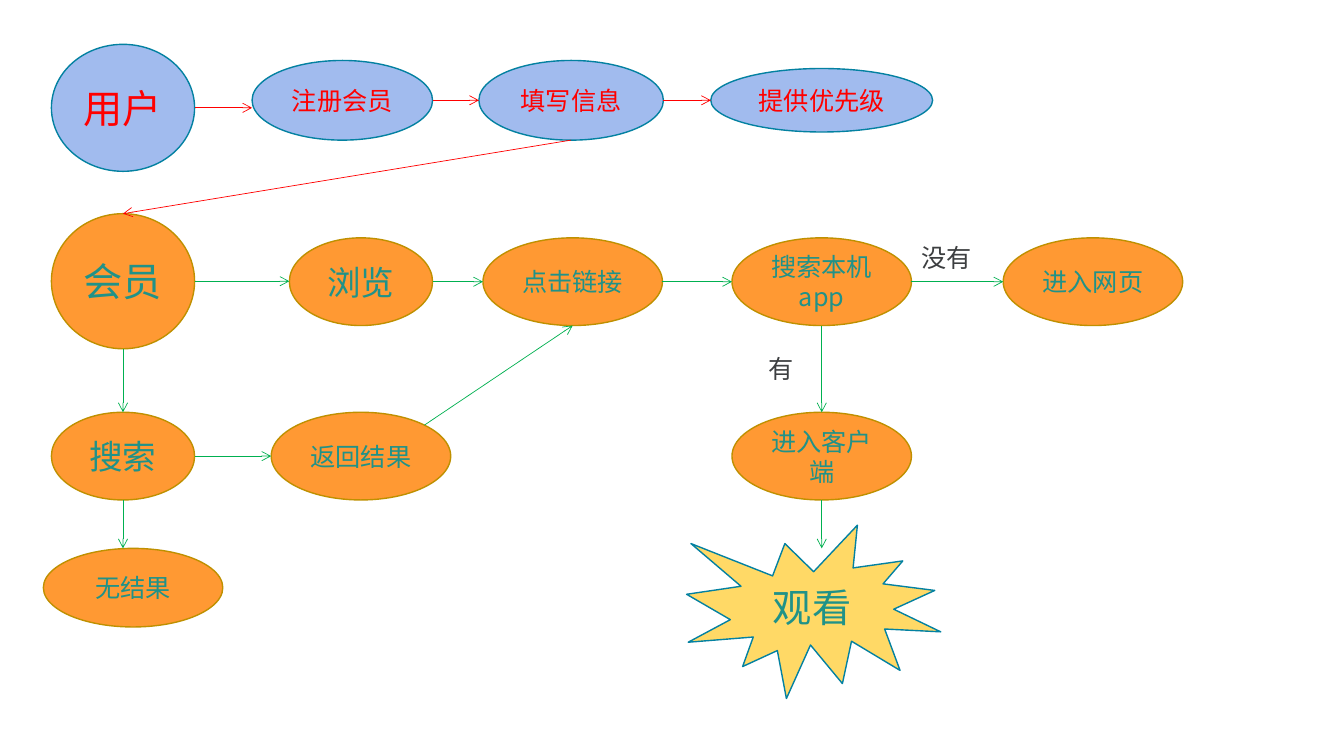
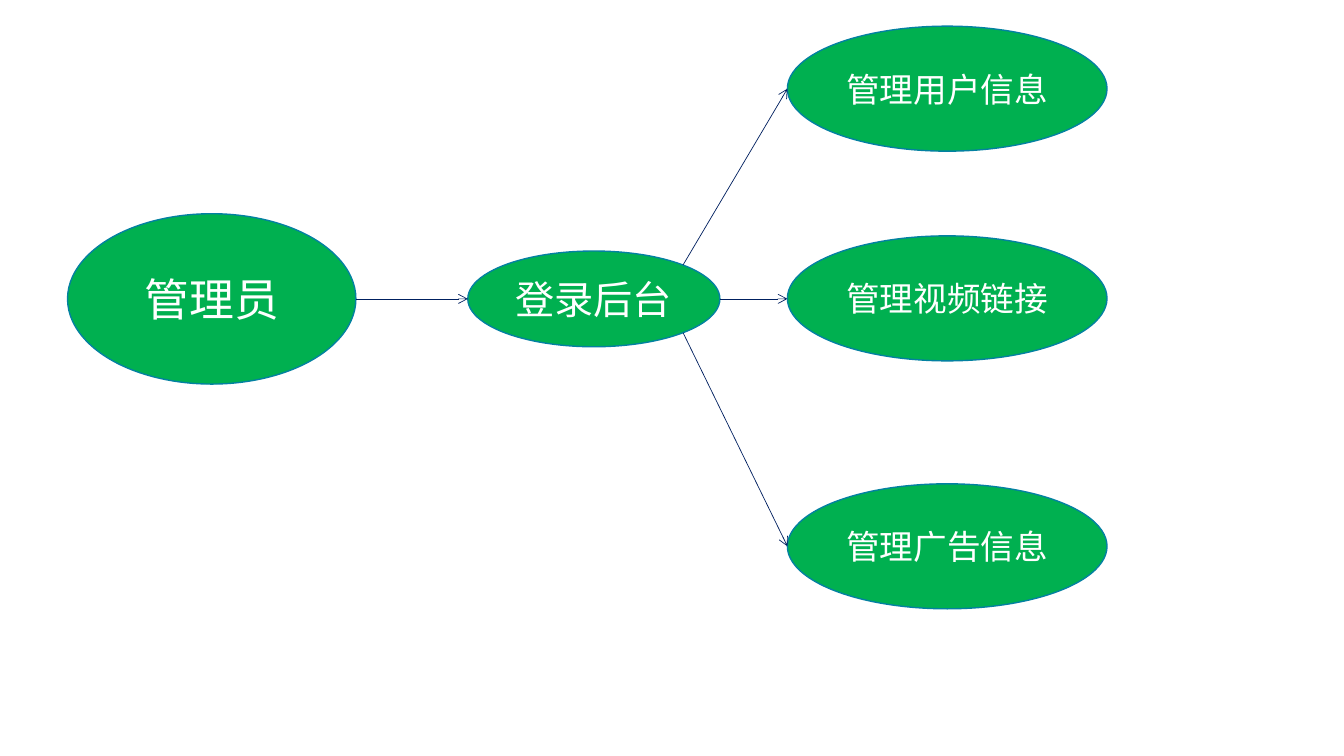
from typing import NamedTuple

from lxml import etree
from pptx import Presentation
from pptx.dml.color import RGBColor
from pptx.enum import shapes, text
from pptx.oxml import ns
from pptx.util import Inches, Pt

BLUE = RGBColor(0xA1, 0xBB, 0xEE)
TEAL = RGBColor(0x03, 0x81, 0xA1)
RED = RGBColor(0xFF, 0x00, 0x00)
ORANGE = RGBColor(0xFF, 0x99, 0x33)
BROWN = RGBColor(0xBF, 0x90, 0x00)
JADE = RGBColor(0x20, 0x92, 0x88)
GREEN = RGBColor(0x00, 0xB0, 0x50)
GOLD = RGBColor(0xFF, 0xD9, 0x66)
NAVY = RGBColor(0x00, 0x20, 0x60)
GRAY = RGBColor(0x3D, 0x3F, 0x41)
WHITE = RGBColor(0xFF, 0xFF, 0xFF)
NOTO = "Noto Sans CJK SC"
ARIAL = "Arial"
OVAL = shapes.MSO_SHAPE.OVAL
BURST = shapes.MSO_SHAPE.EXPLOSION1


class Style(NamedTuple):
    fill: RGBColor
    edge: RGBColor
    ink: RGBColor
    kind: shapes.MSO_SHAPE = OVAL


class Point(NamedTuple):
    x: float
    y: float


class Node(NamedTuple):
    label: str
    x: float
    y: float
    w: float
    h: float
    size: int = 18
    font: str = NOTO

    def at(self, across: float, down: float) -> Point:
        return Point(self.x + self.w * across, self.y + self.h * down)


class Arrow(NamedTuple):
    start: Point
    end: Point
    color: RGBColor


GUEST = Style(BLUE, TEAL, RED)
MEMBER = Style(ORANGE, BROWN, JADE)
FINISH = Style(GOLD, TEAL, JADE, BURST)
ADMIN = Style(GREEN, TEAL, WHITE)

TOP, BOTTOM, LEFT, RIGHT = (0.5, 0), (0.5, 1), (0, 0.5), (1, 0.5)
UPPER, LOWER = (0.854, 0.146), (0.854, 0.854)


def link(start: Node, end: Node, color: RGBColor,
         out: tuple[float, float] = RIGHT,
         into: tuple[float, float] = LEFT) -> Arrow:
    return Arrow(start.at(*out), end.at(*into), color)


def across(start: Node, end: Node, color: RGBColor) -> Arrow:
    head = start.at(*RIGHT)
    return Arrow(head, Point(end.x, head.y), color)


def down(start: Node, stop: float, color: RGBColor) -> Arrow:
    head = start.at(*BOTTOM)
    return Arrow(head, Point(head.x, stop), color)


def write(frame, node: Node, ink: RGBColor) -> None:
    frame.word_wrap = True
    para = frame.paragraphs[0]
    para.text = node.label
    para.font.size = Pt(node.size)
    para.font.color.rgb = ink
    para.font.name = node.font
    props = para._p.pPr.find(ns.qn("a:defRPr"))
    etree.SubElement(props, ns.qn("a:ea"), typeface=node.font)


def draw_node(slide, node: Node, style: Style) -> None:
    box = map(Inches, (node.x, node.y, node.w, node.h))
    shape = slide.shapes.add_shape(style.kind, *box)
    shape.shadow.inherit = False
    shape.fill.solid()
    shape.fill.fore_color.rgb = style.fill
    shape.line.color.rgb = style.edge
    shape.line.width = Pt(1)
    frame = shape.text_frame
    write(frame, node, style.ink)
    frame.vertical_anchor = text.MSO_ANCHOR.MIDDLE
    frame.paragraphs[0].alignment = text.PP_ALIGN.CENTER


def draw_note(slide, note: Node) -> None:
    box = map(Inches, (note.x, note.y, note.w, note.h))
    frame = slide.shapes.add_textbox(*box).text_frame
    write(frame, note, GRAY)
    frame.auto_size = text.MSO_AUTO_SIZE.SHAPE_TO_FIT_TEXT


def draw_arrow(slide, arrow: Arrow) -> None:
    line = slide.shapes.add_connector(
        shapes.MSO_CONNECTOR.STRAIGHT,
        *map(Inches, (*arrow.start, *arrow.end)))
    line.line.color.rgb = arrow.color
    line.line.width = Pt(0.5)
    props = line._element.spPr
    etree.SubElement(props.find(ns.qn("a:ln")), ns.qn("a:tailEnd"), type="arrow")
    etree.SubElement(props, ns.qn("a:effectLst"))


def draw_flow(slide) -> None:
    user = Node("用户", 0.51, 0.44, 1.42, 1.26, 28)
    join = Node("注册会员", 2.5, 0.6, 1.79, 0.79)
    form = Node("填写信息", 4.75, 0.6, 1.83, 0.79)
    rank = Node("提供优先级", 7.05, 0.68, 2.2, 0.63)
    member = Node("会员", 0.51, 2.12, 1.42, 1.34, 28)
    search = Node("搜索", 0.51, 4.09, 1.42, 0.87, 24)
    browse = Node("浏览", 2.87, 2.36, 1.42, 0.87, 24)
    click = Node("点击链接", 4.79, 2.36, 1.78, 0.87)
    none = Node("无结果", 0.43, 5.44, 1.78, 0.78, font=ARIAL)
    found = Node("返回结果", 2.69, 4.09, 1.78, 0.87, font=ARIAL)
    local = Node("搜索本机app", 7.26, 2.36, 1.78, 0.87)
    client = Node("进入客户端", 7.26, 4.09, 1.78, 0.87)
    web = Node("进入网页", 9.95, 2.36, 1.78, 0.87, font=ARIAL)
    watch = Node("观看", 6.81, 5.21, 2.52, 1.72, 28)

    for node in (user, join, form, rank):
        draw_node(slide, node, GUEST)
    for node in (member, search, browse, click, none, found, local, client, web):
        draw_node(slide, node, MEMBER)

    guests = (user, join, form, rank)
    views = (member, browse, click, local, web)
    arrows = [across(a, b, RED) for a, b in zip(guests, guests[1:])]
    arrows += [across(a, b, GREEN) for a, b in zip(views, views[1:])]
    arrows += [
        link(form, member, RED, BOTTOM, TOP),
        across(search, found, GREEN),
        link(found, click, GREEN, UPPER, BOTTOM),
        down(member, search.y, GREEN),
        down(search, none.y, GREEN),
        down(local, client.y, GREEN),
        down(client, none.y, GREEN),
    ]
    for arrow in arrows:
        draw_arrow(slide, arrow)

    draw_note(slide, Node("有", 7.52, 3.46, 0.63, 0.4, font=ARIAL))
    draw_note(slide, Node("没有", 9.04, 2.36, 0.72, 0.4, font=ARIAL))
    draw_node(slide, watch, FINISH)


def draw_admin(slide) -> None:
    admin = Node("管理员", 0.67, 2.12, 2.86, 1.69, 32)
    login = Node("登录后台", 4.64, 2.49, 2.5, 0.95, 28)
    users, videos, ads = [
        Node(label, 7.81, y, 3.17, 1.24, 24)
        for label, y in (("管理用户信息", 0.26),
                         ("管理视频链接", 2.34),
                         ("管理广告信息", 4.8))]

    for node in (admin, login, users, videos, ads):
        draw_node(slide, node, ADMIN)
    for arrow in (across(admin, login, NAVY),
                  across(login, videos, NAVY),
                  link(login, users, NAVY, UPPER),
                  link(login, ads, NAVY, LOWER)):
        draw_arrow(slide, arrow)


def main() -> None:
    deck = Presentation()
    deck.slide_width = Inches(13.33)
    deck.slide_height = Inches(7.5)
    for draw in (draw_flow, draw_admin):
        draw(deck.slides.add_slide(deck.slide_layouts[6]))
    deck.save("out.pptx")


if __name__ == "__main__":
    main()
